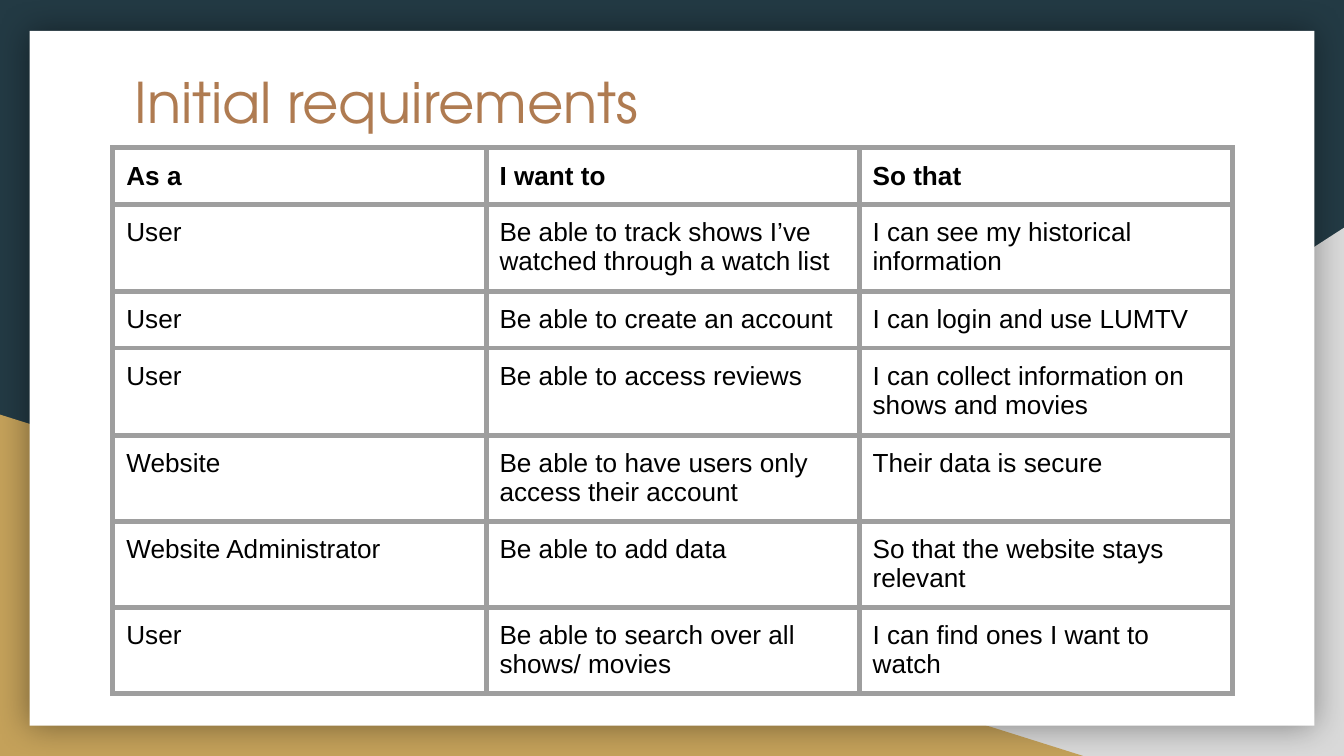
import pptx
import pptx.dml.color
import pptx.enum.shapes
import pptx.enum.text
import pptx.oxml
import pptx.oxml.ns
import pptx.util
from lxml import etree

RGBColor = pptx.dml.color.RGBColor
Inches = pptx.util.Inches
MSO_SHAPE = pptx.enum.shapes.MSO_SHAPE
qn = pptx.oxml.ns.qn

NAVY = RGBColor(0x23, 0x3A, 0x44)
GREY = RGBColor(0xD9, 0xD9, 0xD9)
GOLD = RGBColor(0xC4, 0xA1, 0x5A)
WHITE = RGBColor(0xFF, 0xFF, 0xFF)
BLACK = RGBColor(0x00, 0x00, 0x00)
BRONZE = RGBColor(0xAF, 0x7B, 0x51)
BORDER = RGBColor(0x9E, 0x9E, 0x9E)

W = 10
H = W * 9 / 16
INSET = 0.1
TABLE_WIDTH = 8.33
ROW_HEIGHTS = [0.42, 0.65, 0.42, 0.65, 0.64, 0.64, 0.64]
REQUIREMENTS = [
    ("As a", "I want to", "So that"),
    ("User", "Be able to track shows I’ve watched through a watch list",
     "I can see my historical information"),
    ("User", "Be able to create an account", "I can login and use LUMTV"),
    ("User", "Be able to access reviews",
     "I can collect information on shows and movies"),
    ("Website", "Be able to have users only access their account",
     "Their data is secure"),
    ("Website Administrator", "Be able to add data",
     "So that the website stays relevant"),
    ("User", "Be able to search over all shows/ movies",
     "I can find ones I want to watch"),
]


def set_text(tf, text, font="Arial", size=14, color=BLACK, bold=False):
    tf.word_wrap = True
    p = tf.paragraphs[0]
    p.alignment = pptx.enum.text.PP_ALIGN.LEFT
    r = p.add_run()
    r.text = text
    r.font.name = font
    r.font.size = pptx.util.Pt(size)
    r.font.color.rgb = color
    r.font.bold = bold


def set_insets(box):
    box.margin_left = box.margin_right = Inches(INSET)
    box.margin_top = box.margin_bottom = Inches(INSET)


def add_panel(s, kind, x, y, w, h, color):
    sp = s.shapes.add_shape(kind, Inches(x), Inches(y), Inches(w), Inches(h))
    sp.shadow.inherit = False
    sp.fill.solid()
    sp.fill.fore_color.rgb = color
    sp.line.fill.background()
    return sp


def add_glow_shadow(sp, blur, alpha):
    effects = sp._element.spPr.find(qn("a:effectLst"))
    shadow = etree.SubElement(effects, qn("a:outerShdw"), blurRad=str(pptx.util.Pt(blur)),
                              dist="0", dir="0", algn="ctr", rotWithShape="0")
    color = etree.SubElement(shadow, qn("a:srgbClr"), val=str(BLACK))
    etree.SubElement(color, qn("a:alpha"), val=str(alpha * 1000))


def add_backdrop(s):
    s.background.fill.solid()
    s.background.fill.fore_color.rgb = NAVY
    right = add_panel(s, MSO_SHAPE.RIGHT_TRIANGLE, W - 6.08, H - 3.93, 6.08, 3.93, GREY)
    right._element.spPr.find(qn("a:xfrm")).set("flipH", "1")
    add_panel(s, MSO_SHAPE.RIGHT_TRIANGLE, 0, H - 2.54, 8.06, 2.54, GOLD)
    card = add_panel(s, MSO_SHAPE.RECTANGLE, 0.22, 0.23, W - 0.44, 5.17, WHITE)
    add_glow_shadow(card, 18, 40)


def place_title(s, text):
    sp = s.shapes.title
    sp.left, sp.top, sp.width, sp.height = map(Inches, (0.9, 0.4, 8.21, 0.71))
    tf = sp.text_frame
    tf.auto_size = pptx.enum.text.MSO_AUTO_SIZE.NONE
    tf.vertical_anchor = pptx.enum.text.MSO_ANCHOR.TOP
    set_insets(tf)
    set_text(tf, text, font="TeX Gyre Adventor", size=30, color=BRONZE)
    sp._element.getparent().append(sp._element)


def set_borders(cell, color, width):
    tcPr = cell._tc.get_or_add_tcPr()
    for i, side in enumerate(("lnL", "lnR", "lnT", "lnB")):
        ln = etree.Element(qn("a:" + side), w=str(pptx.util.Pt(width)))
        fill = etree.SubElement(ln, qn("a:solidFill"))
        etree.SubElement(fill, qn("a:srgbClr"), val=str(color))
        tcPr.insert(i, ln)


def fill_cell(cell, text, bold):
    set_insets(cell)
    cell.fill.background()
    set_text(cell.text_frame, text, bold=bold)
    set_borders(cell, BORDER, 3)


def add_requirements_table(s, rows):
    n = len(rows[0])
    frame = s.shapes.add_table(len(rows), n, Inches(0.84), Inches(1.1),
                               Inches(TABLE_WIDTH), Inches(sum(ROW_HEIGHTS)))
    table = frame.table
    table.first_row = table.horz_banding = False
    for i, row in enumerate(rows):
        table.rows[i].height = Inches(ROW_HEIGHTS[i])
        for j, text in enumerate(row):
            fill_cell(table.cell(i, j), text, bold=i == 0)


def main():
    prs = pptx.Presentation()
    prs.slide_width, prs.slide_height = Inches(W), Inches(H)
    s = prs.slides.add_slide(prs.slide_layouts[5])
    add_backdrop(s)
    place_title(s, "Initial requirements")
    add_requirements_table(s, REQUIREMENTS)
    prs.save("out.pptx")


if __name__ == "__main__":
    main()
